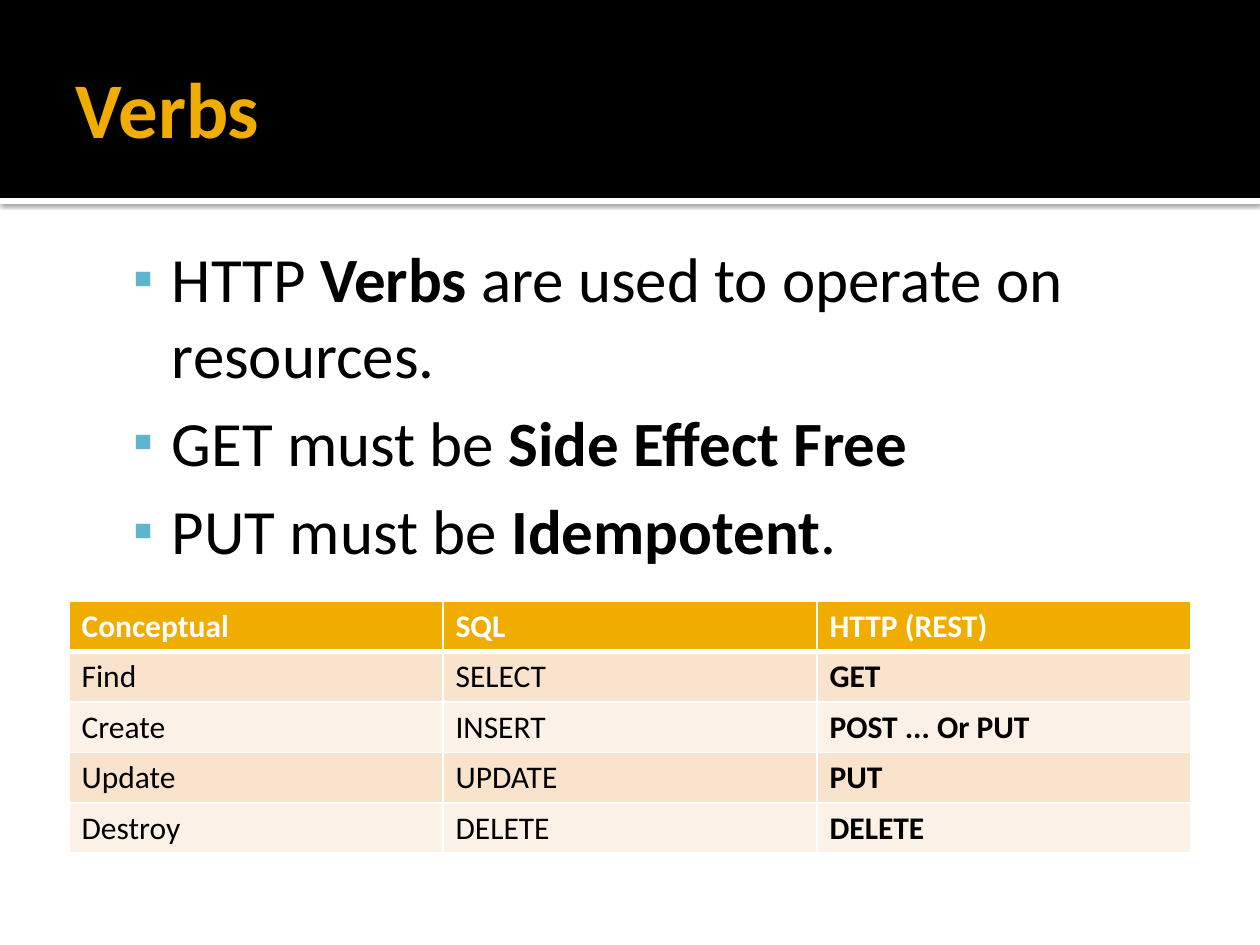
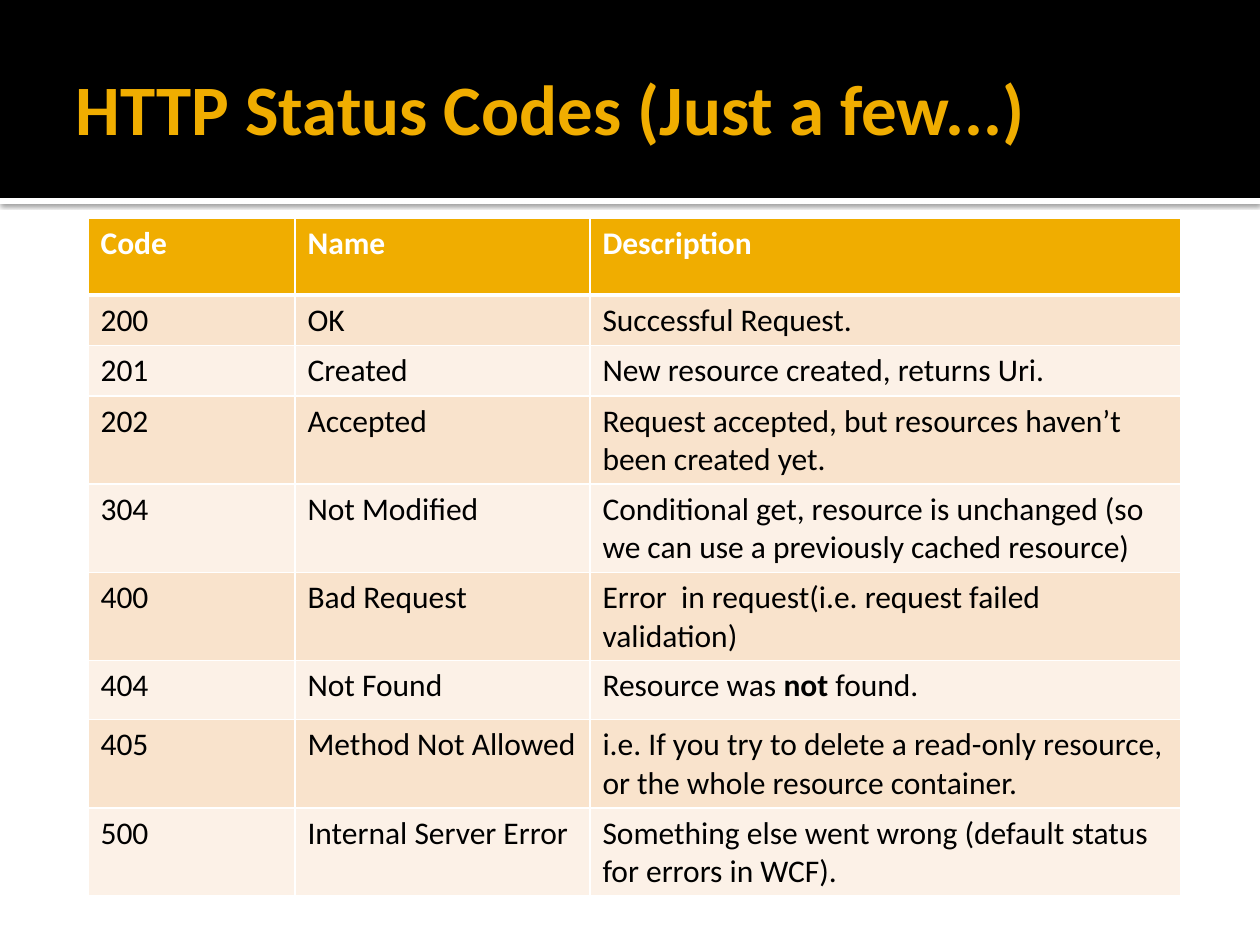
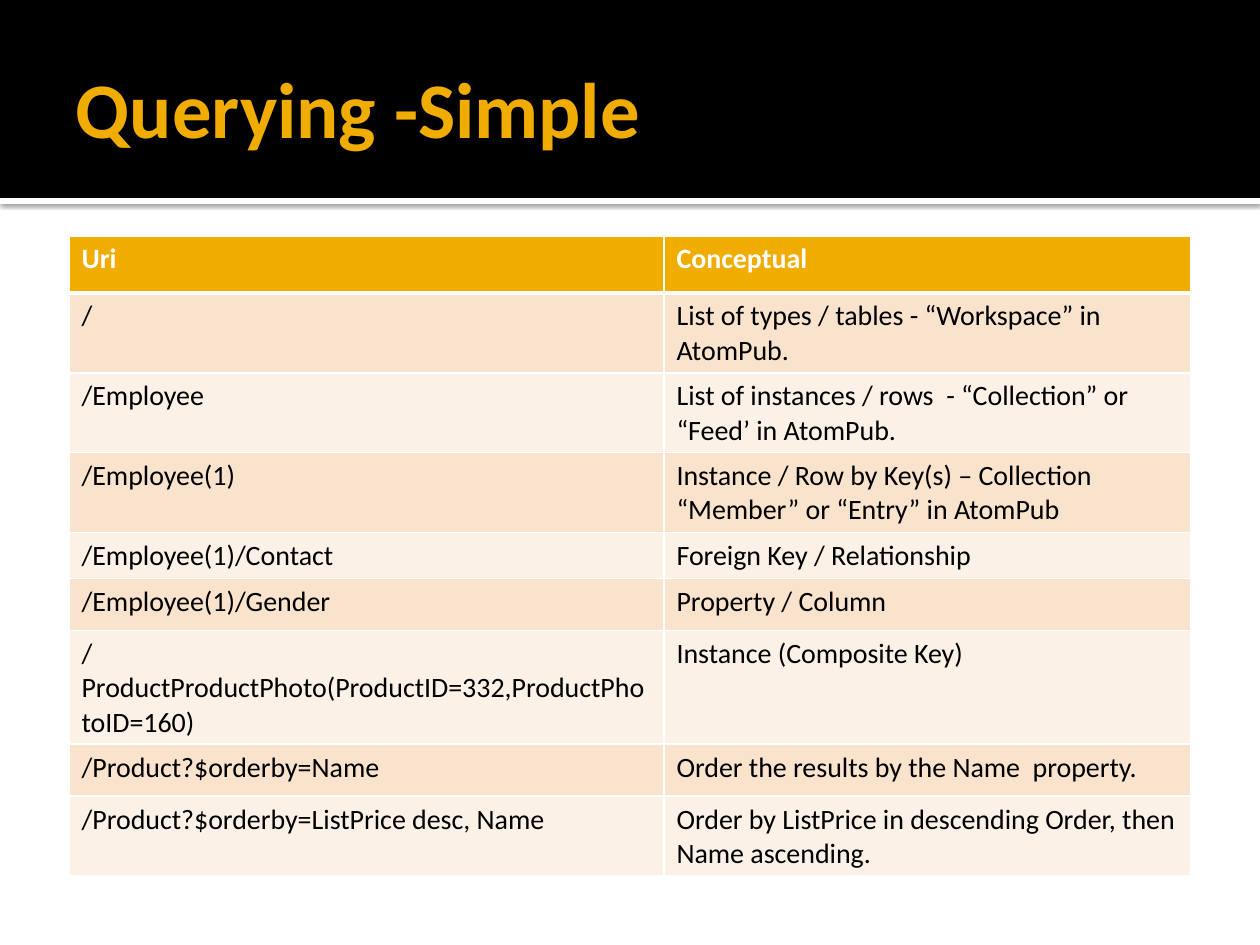
"""Build three slides on REST verbs, HTTP status codes and simple queries."""
from lxml import etree
from pptx import Presentation, util as u
from pptx.dml.color import RGBColor
from pptx.enum import shapes, text
from pptx.oxml import ns

PX = 914400 // 126
FONT = "Calibri"
BLACK = RGBColor(0x00, 0x00, 0x00)
WHITE = RGBColor(0xFF, 0xFF, 0xFF)
AMBER = RGBColor(0xF0, 0xAD, 0x00)
TEAL = RGBColor(0x60, 0xB5, 0xCC)
PEACH = RGBColor(0xF9, 0xE3, 0xCC)
CREAM = RGBColor(0xFC, 0xF1, 0xE7)


def add_xml(parent, body):
    wrapper = etree.fromstring(f'<x {ns.nsdecls("a")}>{body}</x>')
    for child in list(wrapper):
        parent.append(child)


def write(paragraph, marked, size, colour, bold=False):
    for i, part in enumerate(marked.split("*")):
        if part:
            run = paragraph.add_run()
            run.text = part
            run.font.name = FONT
            run.font.size = u.Pt(size)
            run.font.color.rgb = colour
            run.font.bold = bold or i % 2 == 1


verbs = [
    ("Conceptual", "SQL", "HTTP (REST)"),
    ("Find", "SELECT", "*GET*"),
    ("Create", "INSERT", "*POST ... Or PUT*"),
    ("Update", "UPDATE", "*PUT*"),
    ("Destroy", "DELETE", "*DELETE*"),
]
status_codes = [
    ("Code", "Name", "Description"),
    ("200", "OK", "Successful Request."),
    ("201", "Created", "New resource created, returns Uri."),
    ("202 ", "Accepted", "Request accepted, but resources haven’t been created yet."),
    ("304", "Not Modified",
     "Conditional get, resource is unchanged (so we can use a previously cached resource)"),
    ("400", "Bad Request", "Error  in request(i.e. request failed validation)"),
    ("404", "Not Found", "Resource was *not* found."),
    ("405", "Method Not Allowed",
     "i.e. If you try to delete a read-only resource, or the whole resource container."),
    ("500", "Internal Server Error",
     "Something else went wrong (default status for errors in WCF)."),
]
queries = [
    ("Uri", "Conceptual"),
    ("/", "List of types / tables - “Workspace” in AtomPub."),
    ("/Employee", "List of instances / rows  - “Collection” or “Feed’ in AtomPub."),
    ("/Employee(1)",
     "Instance / Row by Key(s) – Collection “Member” or “Entry” in AtomPub"),
    ("/Employee(1)/Contact", "Foreign Key / Relationship"),
    ("/Employee(1)/Gender", "Property / Column"),
    ("/ProductProductPhoto(ProductID=332,ProductPhotoID=160)",
     "Instance (Composite Key)"),
    ("/Product?$orderby=Name", "Order the results by the Name  property."),
    ("/Product?$orderby=ListPrice desc, Name",
     "Order by ListPrice in descending Order, then Name ascending."),
]
verb_rules = [
    "HTTP *Verbs* are used to operate on resources.",
    "GET must be *Side Effect Free*",
    "PUT must be *Idempotent*.",
]
pages = [
    ("Verbs", 45, verb_rules, verbs, 18, (69, 601), [374] * 3, [39] * 5),
    ("HTTP Status Codes (Just a few...)", 40.5, [], status_codes, 18, (88, 218),
     [207, 295, 591], [77, 50, 49, 77, 77, 77, 59, 77, 77]),
    ("Querying -Simple", 45, [], queries, 16, (69, 236),
     [595, 527], [57, 79, 50, 53, 45, 52, 52, 52, 52]),
]

deck = Presentation()
deck.slide_width, deck.slide_height = 1260 * PX, 945 * PX

for heading, heading_size, rules, rows, size, (left, top), widths, heights in pages:
    slide = deck.slides.add_slide(deck.slide_layouts[6])

    for y, height, colour in ((198, 6, WHITE), (0, 198, BLACK)):
        band = slide.shapes.add_shape(
            shapes.MSO_SHAPE.RECTANGLE, 0, y * PX, 1260 * PX, height * PX)
        band.shadow.inherit = False
        band.fill.solid()
        band.fill.fore_color.rgb = colour
        band.line.fill.background()
        if colour == WHITE:
            add_xml(band.element.spPr.find(ns.qn("a:effectLst")),
                    f'<a:outerShdw blurRad="{u.Pt(2.5)}" dist="{u.Pt(0.8)}" dir="5400000">'
                    f'<a:srgbClr val="{BLACK}"><a:alpha val="60000"/></a:srgbClr>'
                    '</a:outerShdw>')

    title = slide.shapes.add_textbox(63 * PX, 21 * PX, 1134 * PX, 173 * PX).text_frame
    title.word_wrap = True
    title.vertical_anchor = text.MSO_ANCHOR.MIDDLE
    title.margin_left = 13 * PX
    write(title.paragraphs[0], heading, heading_size, AMBER, True)

    grid = slide.shapes.add_table(
        len(rows), len(widths), left * PX, top * PX,
        sum(widths) * PX, sum(heights) * PX).table
    grid.horz_banding = False
    for column, width in zip(grid.columns, widths):
        column.width = width * PX
    for r, (row, height) in enumerate(zip(rows, heights)):
        grid.rows[r].height = height * PX
        fill = AMBER if r == 0 else (CREAM, PEACH)[r % 2]
        for c, entry in enumerate(row):
            cell = grid.cell(r, c)
            for side in "LRTB":
                points = 3 if (r, side) in ((0, "B"), (1, "T")) else 1
                add_xml(cell._tc.get_or_add_tcPr(),
                        f'<a:ln{side} w="{u.Pt(points)}"><a:solidFill>'
                        f'<a:srgbClr val="{WHITE}"/></a:solidFill></a:ln{side}>')
            cell.fill.solid()
            cell.fill.fore_color.rgb = fill
            write(cell.text_frame.paragraphs[0], entry, size,
                  WHITE if r == 0 else BLACK, r == 0)

    if rules:
        body = slide.shapes.add_textbox(63 * PX, 227 * PX, 1134 * PX, 374 * PX).text_frame
        body.word_wrap = True
        body.margin_left, body.margin_top = 8 * PX, 13 * PX
        for i, rule in enumerate(rules):
            paragraph = body.add_paragraph() if i else body.paragraphs[0]
            layout = paragraph._p.get_or_add_pPr()
            layout.set("lvl", "1")
            layout.set("marL", str(101 * PX))
            layout.set("indent", str(-38 * PX))
            add_xml(layout,
                    '<a:spcBef><a:spcPct val="20000"/></a:spcBef>'
                    f'<a:buClr><a:srgbClr val="{TEAL}"/></a:buClr>'
                    f'<a:buSzPct val="90000"/><a:buFont typeface="{FONT}"/>'
                    '<a:buChar char="▪"/>')
            write(paragraph, rule, 36, BLACK)

deck.save("out.pptx")
